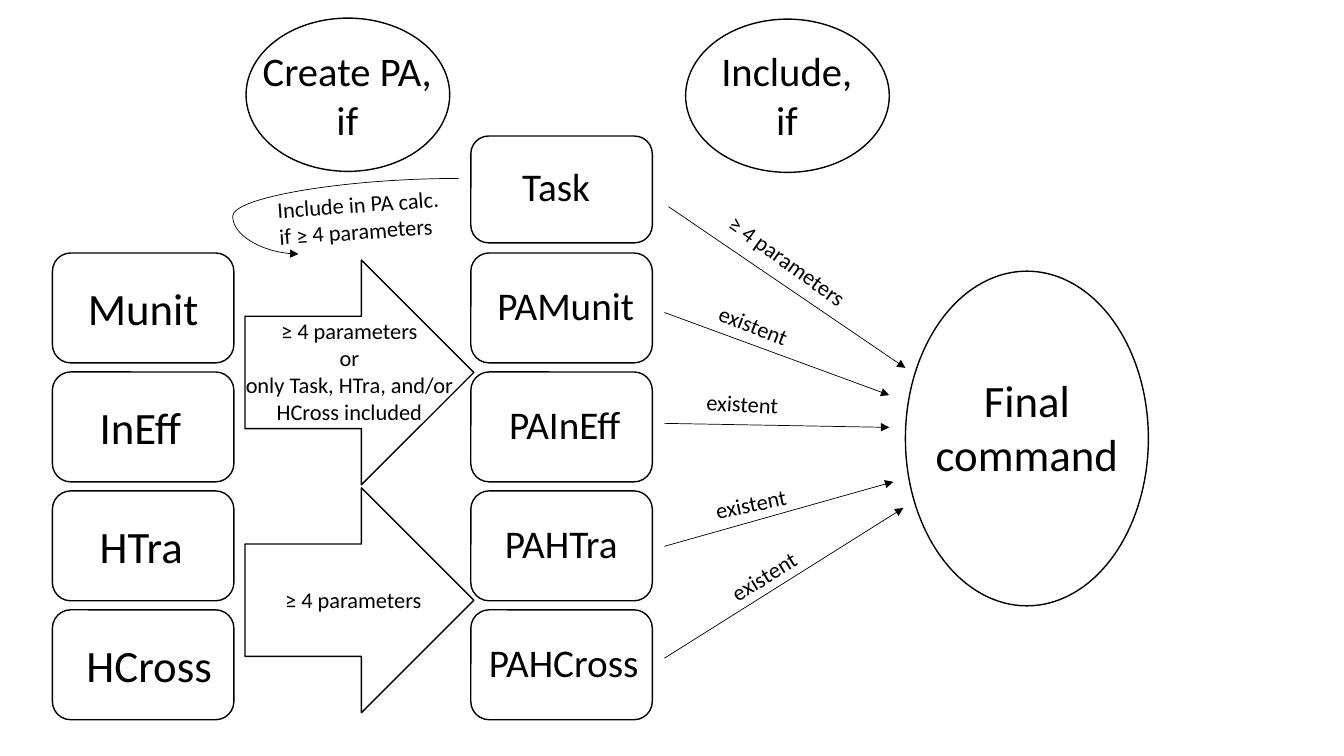
import pptx
import pptx.dml.color
import pptx.enum.shapes
import pptx.enum.text
import pptx.oxml
import pptx.oxml.ns
import pptx.util
import lxml.etree

BLACK = pptx.dml.color.RGBColor(0x00, 0x00, 0x00)
FONT = "Calibri"
SHAPES = pptx.enum.shapes.MSO_SHAPE
CONNECTORS = pptx.enum.shapes.MSO_CONNECTOR
LEFT = pptx.enum.text.PP_ALIGN.LEFT
CENTER = pptx.enum.text.PP_ALIGN.CENTER

GRID_CELL = pptx.util.Inches(1)
SLIDE_COLUMNS, SLIDE_ROWS = 13.33, 7.5
BOX_WIDTH, BOX_HEIGHT = 1.8, 1.09
FIRST_ROW, ROW_STEP = 2.51, 1.18
SOURCE_COLUMN, RESULT_COLUMN = 0.52, 4.67

SOURCES = [
    ("Munit", 0.76, 1.32, CENTER),
    ("InEff", 0.89, 1.32, LEFT),
    ("HTra", 0.89, 1.32, LEFT),
    ("HCross", 0.76, 1.53, LEFT),
]
RESULTS = [
    ("PAMunit", 4.77, 1.68, CENTER),
    ("PAInEff", 4.95, 1.32, LEFT),
    ("PAHTra", 4.91, 1.44, LEFT),
    ("PAHCross", 4.75, 1.7, LEFT),
]
LINKS_TO_FINAL = [
    ((6.63, 2.05), (8.98, 3.65)),
    ((6.59, 3.1), (8.82, 3.92)),
    ((6.59, 4.2), (8.82, 4.24)),
    ((6.59, 5.42), (8.86, 4.78)),
    ((6.59, 6.53), (8.96, 5.04)),
]
EXISTENT_LABELS = [
    (7.01, 3.1, 21.6),
    (6.91, 3.83, 3.1),
    (6.99, 4.78, 348.1),
    (7.1, 5.45, 328.5),
]


def on_grid(*cells):
    return [round(cell * GRID_CELL) for cell in cells]


def add_outline(slide, kind, left, top, width, height):
    shape = slide.shapes.add_shape(kind, *on_grid(left, top, width, height))
    shape.shadow.inherit = False
    shape.fill.background()
    shape.line.color.rgb = BLACK
    shape.line.width = pptx.util.Pt(1)


def add_text(slide, text, left, top, width, height, *, size=16,
             alignment=CENTER, rotation=0, wrap=True):
    box = slide.shapes.add_textbox(*on_grid(left, top, width, height))
    box.rotation = rotation
    frame = box.text_frame
    frame.word_wrap = wrap
    frame.text = text
    for paragraph in frame.paragraphs:
        paragraph.alignment = alignment
        font = paragraph.font
        for run in paragraph.runs:
            font = run.font
            font.name = FONT
            font.size = pptx.util.Pt(size)
            font.color.rgb = BLACK


def add_arrow(slide, start, end, kind=CONNECTORS.STRAIGHT, bend=None):
    arrow = slide.shapes.add_connector(kind, *on_grid(*start, *end))
    arrow.line.color.rgb = BLACK
    arrow.line.width = pptx.util.Pt(0.5)
    line = arrow.line._get_or_add_ln()
    lxml.etree.SubElement(line, pptx.oxml.ns.qn("a:tailEnd"), type="triangle")
    properties = arrow._element.spPr
    lxml.etree.SubElement(properties, pptx.oxml.ns.qn("a:effectLst"))
    if bend is not None:
        geometry = properties.find(pptx.oxml.ns.qn("a:prstGeom"))
        adjustments = geometry.get_or_add_avLst()
        lxml.etree.SubElement(adjustments, pptx.oxml.ns.qn("a:gd"),
                              name="adj1", fmla=f"val {round(bend * 100000)}")


def add_box_column(slide, column, labels, text_offset, text_height, size):
    for index, (text, left, width, alignment) in enumerate(labels):
        top = FIRST_ROW + index * ROW_STEP
        add_outline(slide, SHAPES.ROUNDED_RECTANGLE,
                    column, top, BOX_WIDTH, BOX_HEIGHT)
        add_text(slide, text, left, top + text_offset, width, text_height,
                 size=size, alignment=alignment)


def add_condition(slide, text, left, top, text_left, text_width):
    add_outline(slide, SHAPES.OVAL, left, top, 2.02, 1.52)
    add_text(slide, text, text_left, 0.41, text_width, 1.08,
             size=29, wrap=False)


def main():
    presentation = pptx.Presentation()
    presentation.slide_width, presentation.slide_height = on_grid(
        SLIDE_COLUMNS, SLIDE_ROWS)
    slide = presentation.slides.add_slide(presentation.slide_layouts[6])

    add_condition(slide, "Create PA,\nif", 2.44, 0.18, 2.5, 1.89)
    add_outline(slide, SHAPES.ROUNDED_RECTANGLE,
                RESULT_COLUMN, 1.35, BOX_WIDTH, 1.06)
    add_box_column(slide, SOURCE_COLUMN, SOURCES, 0.23, 0.64, 32)
    add_box_column(slide, RESULT_COLUMN, RESULTS, 0.23, 0.57, 28)
    for top in (2.58, 4.84):
        add_outline(slide, SHAPES.RIGHT_ARROW, 2.43, top, 2.27, 2.23)
    add_text(slide, "Task", 5.08, 1.56, 1.2, 0.57, size=28, alignment=LEFT)

    add_outline(slide, SHAPES.OVAL, 8.98, 2.69, 2.41, 3.32)
    add_text(slide, "Final command", 8.82, 3.65, 2.73, 1.18, size=32)
    for start, end in LINKS_TO_FINAL:
        add_arrow(slide, start, end)

    add_condition(slide, "Include,\nif", 6.8, 0.19, 7.05, 1.51)
    for left, top, rotation in EXISTENT_LABELS:
        add_text(slide, "existent", left, top, 1.22, 0.37,
                 alignment=LEFT, rotation=rotation)
    add_text(slide, "≥ 4 parameters\nor\n"
             "only Task, HTra, and/or HCross included", 2.27, 3.1, 2.39, 1.18)
    add_text(slide, "≥ 4 parameters", 2.5, 5.77, 2.01, 0.37)
    add_text(slide, "≥ 4 parameters", 6.81, 2.4, 2, 0.37, rotation=35.8)
    add_arrow(slide, (4.55, 1.77), (2.96, 2.52), CONNECTORS.CURVE, bend=1.41)
    add_text(slide, "Include in PA calc. if ≥ 4 parameters",
             2.66, 1.84, 1.81, 0.64, alignment=LEFT, rotation=356)

    presentation.save("out.pptx")


main()
